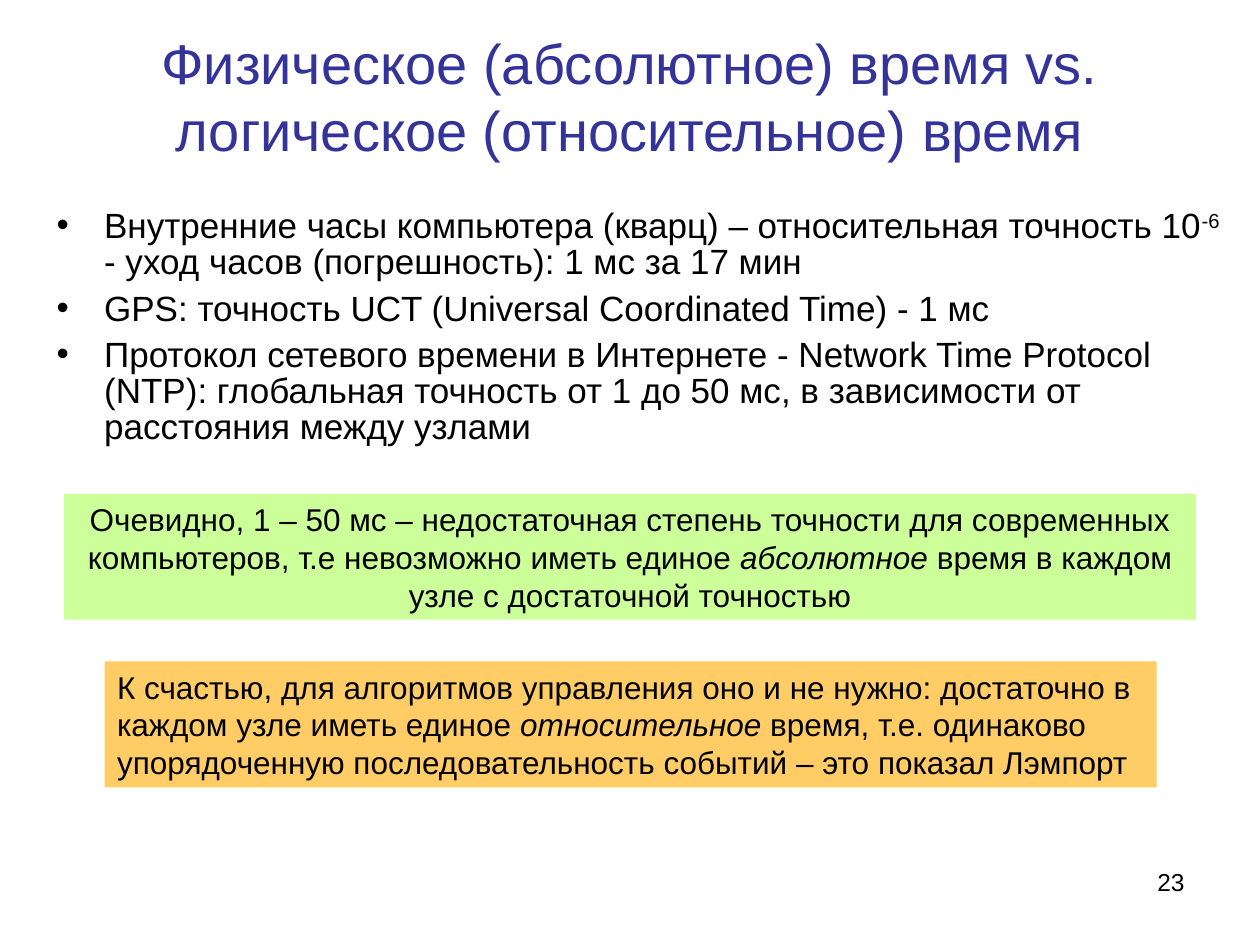
import pptx
import pptx.util
import pptx.dml.color
import pptx.enum.shapes
import pptx.enum.text
import lxml.etree

Pt = pptx.util.Pt
Align = pptx.enum.text.PP_ALIGN
Anchor = pptx.enum.text.MSO_ANCHOR

TITLE = [[("Физическое (абсолютное) время vs. логическое (относительное) время", "")]]
FACTS = [
    [
        ("Внутренние часы компьютера (кварц) – относительная точность 10", ""),
        ("-6 ", "super"),
        (" - уход часов (погрешность): 1 мс за 17 мин", ""),
    ],
    [("GPS: точность UCT (Universal Coordinated Time) - 1 мс", "")],
    [("Протокол сетевого времени в Интернете - Network Time Protocol (NTP): "
      "глобальная точность от 1 до 50 мс, в зависимости от расстояния между узлами", "")],
]
LIMIT = [[
    ("Очевидно, 1 – 50 мс – недостаточная степень точности для современных "
     "компьютеров, т.е невозможно иметь единое ", ""),
    ("абсолютное", "italic"),
    (" время в каждом узле с достаточной точностью", ""),
]]
ANSWER = [[
    ("К счастью, для алгоритмов управления оно и не нужно: достаточно в каждом "
     "узле иметь единое ", ""),
    ("относительное", "italic"),
    (" время, т.е. одинаково упорядоченную последовательность событий – "
     "это показал Лэмпорт", ""),
]]
NUMBER = [[("23", "")]]

BLOCKS = [
    dict(box=(0, 9.4, 720, 90), text=TITLE, size=32, color="333399",
         align=Align.CENTER, anchor=Anchor.MIDDLE),
    dict(box=(25.2, 116.6, 683.3, 147.6), text=FACTS, size=20,
         before=6.2, line=0.85, bullet="•"),
    dict(box=(36.7, 282.2, 646.6, 72), text=LIMIT, size=18, fill="CCFF99",
         align=Align.CENTER, before=11.2),
    dict(box=(59.8, 378, 601.2, 72), text=ANSWER, size=18, fill="FFCC66",
         before=11.2),
    dict(box=(516.2, 491.8, 167.8, 37.4), text=NUMBER, size=14, align=Align.RIGHT),
]


def paint(code):
    return pptx.dml.color.RGBColor.from_string(code)


def add_mark(para, mark, indent=27.2):
    props = para._p.get_or_add_pPr()
    props.set("marL", str(Pt(indent)))
    props.set("indent", str(-Pt(indent)))
    space = "{http://schemas.openxmlformats.org/drawingml/2006/main}"
    color = lxml.etree.SubElement(props, space + "buClr")
    lxml.etree.SubElement(color, space + "srgbClr", val="000000")
    lxml.etree.SubElement(props, space + "buFont", typeface="Arial")
    lxml.etree.SubElement(props, space + "buChar", char=mark)


def add_block(slide, box, text, size, color="000000", fill=None,
              align=Align.LEFT, anchor=Anchor.TOP, before=0, line=1, bullet=None):
    place = [Pt(side) for side in box]
    if fill:
        shape = slide.shapes.add_shape(
            pptx.enum.shapes.MSO_SHAPE.RECTANGLE, *place)
        shape.shadow.inherit = False
        shape.fill.solid()
        shape.fill.fore_color.rgb = paint(fill)
        shape.line.fill.background()
    else:
        shape = slide.shapes.add_textbox(*place)
    frame = shape.text_frame
    frame.word_wrap = True
    frame.vertical_anchor = anchor
    for index, parts in enumerate(text):
        para = frame.add_paragraph() if index else frame.paragraphs[0]
        para.alignment = align
        para.space_before = Pt(before)
        para.line_spacing = line
        if bullet:
            add_mark(para, bullet)
        for words, style in parts:
            run = para.add_run()
            run.text = words
            run.font.name = "Arial"
            run.font.size = Pt(size)
            run.font.color.rgb = paint(color)
            if style == "italic":
                run.font.italic = True
            if style == "super":
                run.font._element.set("baseline", "30000")


def main():
    deck = pptx.Presentation()
    deck.slide_width, deck.slide_height = Pt(720), Pt(540)
    slide = deck.slides.add_slide(deck.slide_layouts[6])
    for block in BLOCKS:
        add_block(slide, **block)
    deck.save("out.pptx")


if __name__ == "__main__":
    main()
